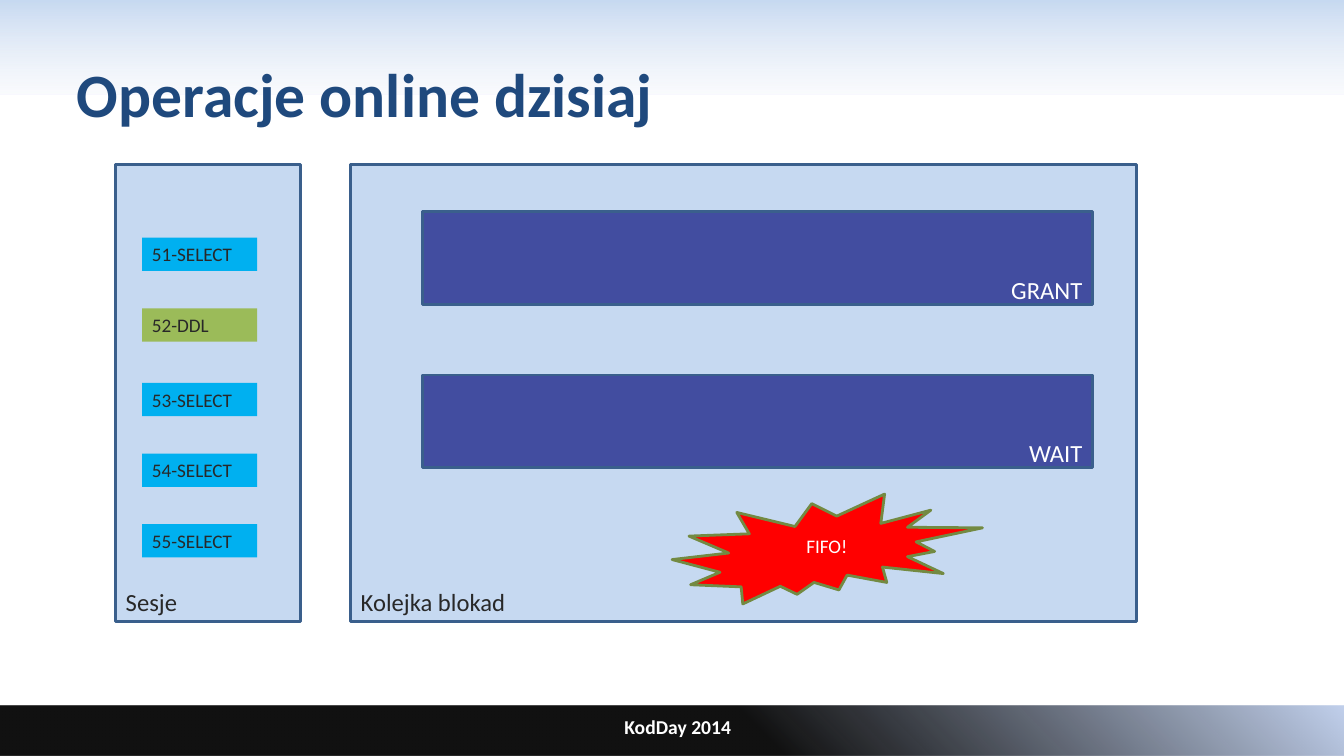
from lxml.etree import SubElement
from pptx import Presentation
from pptx.dml.color import RGBColor
from pptx.enum.shapes import MSO_SHAPE
from pptx.enum.text import MSO_ANCHOR, PP_ALIGN
from pptx.oxml.ns import qn
from pptx.util import Cm, Pt

THEME = {
    "font": "Calibri",
    "title": "1F497D", "dark": "282828", "light": "FFFFFF",
    "panel": "C6D9F1", "lane": "424DA0", "edge": "3A5F8C",
    "select": "00B0F0", "ddl": "9BBB59",
    "burst": "FF0000", "burst_edge": "738A42",
    "title_size": 44, "footer_size": 14, "label_size": 17.6, "small_size": 13.7,
    "edge_width": 2,
}

SLIDE_SIZE = (33.87, 19.05)
TITLE = ("Operacje online dzisiaj", (1.69, 0.76, 30.48, 3.18))
FOOTER = ("KodDay 2014", (9.6, 17.78, 14.96, 1.07))
BANDS = [
    ((0, 0, 33.87, 2.39), 90,
     [(0, "DCE6F2", 41), (0, "C6D9F1", 100), (100, "E1E8F5", 16)]),
    ((0, 17.78, 33.87, 1.27), 315,
     [(56, "000000", 93), (100, "C2D1ED", 100), (100, "E1E8F5", 16)]),
]
PANEL_TOP, PANEL_HEIGHT = 4.14, 11.53
PANELS = [("Kolejka blokad", 8.84, 19.81), ("Sesje", 2.92, 4.65)]
LANE_LEFT, LANE_WIDTH, LANE_HEIGHT = 10.64, 16.89, 2.34
LANES = [("WAIT", 9.45), ("GRANT", 5.33)]
SESSION_LEFT, SESSION_WIDTH, SESSION_HEIGHT = 3.58, 2.9, 0.84
SESSIONS = [
    ("51-SELECT", "select", 5.99),
    ("52-DDL", "ddl", 7.77),
    ("53-SELECT", "select", 9.65),
    ("54-SELECT", "select", 11.43),
    ("55-SELECT", "select", 13.21),
]
BURST = (16.94, 12.45, 7.82, 2.77)
BURST_LABEL = ("FIFO!", (18.72, 13.34, 4.24, 0.84))


def color(name):
    return RGBColor.from_string(THEME[name])


def write(shape, text, size="label_size", ink="dark", bold=False,
          align=PP_ALIGN.LEFT, anchor=MSO_ANCHOR.MIDDLE, bottom=0.13):
    frame = shape.text_frame
    frame.word_wrap = True
    frame.vertical_anchor = anchor
    frame.margin_bottom = Cm(bottom)
    paragraph = frame.paragraphs[0]
    paragraph.alignment = align
    run = paragraph.add_run()
    run.text = text
    run.font.name = THEME["font"]
    run.font.size = Pt(THEME[size])
    run.font.bold = bold
    run.font.color.rgb = color(ink)


def add_block(shapes, box, fill=None, edge=None, preset=MSO_SHAPE.RECTANGLE):
    block = shapes.add_shape(preset, *map(Cm, box))
    block.shadow.inherit = False
    if fill:
        block.fill.solid()
        block.fill.fore_color.rgb = color(fill)
    if edge:
        block.line.color.rgb = color(edge)
        block.line.width = Pt(THEME["edge_width"])
    else:
        block.line.fill.background()
    return block


def add_band(shapes, box, angle, stops):
    band = add_block(shapes, box)
    band.fill.gradient()
    gradient = band.element.spPr.find(qn("a:gradFill"))
    for child in list(gradient):
        gradient.remove(child)
    stop_list = SubElement(gradient, qn("a:gsLst"))
    for position, tint, alpha in stops:
        stop = SubElement(stop_list, qn("a:gs"), pos=str(position * 1000))
        shade = SubElement(stop, qn("a:srgbClr"), val=tint)
        SubElement(shade, qn("a:alpha"), val=str(alpha * 1000))
    SubElement(gradient, qn("a:lin"), ang=str(angle * 60000), scaled="0")


def add_label(shapes, content, **style):
    text, box = content
    write(shapes.add_textbox(*map(Cm, box)), text, **style)


def main():
    deck = Presentation()
    deck.slide_width, deck.slide_height = map(Cm, SLIDE_SIZE)
    shapes = deck.slides.add_slide(deck.slide_layouts[6]).shapes

    for box, angle, stops in BANDS:
        add_band(shapes, box, angle, stops)
    add_label(shapes, TITLE, size="title_size", ink="title", bold=True)
    add_label(shapes, FOOTER, size="footer_size", ink="light", bold=True,
              align=PP_ALIGN.CENTER)

    for text, left, width in PANELS:
        panel = add_block(shapes, (left, PANEL_TOP, width, PANEL_HEIGHT), "panel", "edge")
        write(panel, text, anchor=MSO_ANCHOR.BOTTOM)

    for text, top in LANES:
        lane = add_block(shapes, (LANE_LEFT, top, LANE_WIDTH, LANE_HEIGHT), "lane", "edge")
        write(lane, text, ink="light", align=PP_ALIGN.RIGHT,
              anchor=MSO_ANCHOR.BOTTOM, bottom=0)

    for text, fill, top in SESSIONS:
        session = add_block(shapes, (SESSION_LEFT, top, SESSION_WIDTH, SESSION_HEIGHT), fill)
        write(session, text, size="small_size", anchor=MSO_ANCHOR.TOP)

    callout = shapes.add_group_shape().shapes
    add_block(callout, BURST, "burst", "burst_edge", MSO_SHAPE.EXPLOSION2)
    add_label(callout, BURST_LABEL, size="small_size", ink="light",
              align=PP_ALIGN.CENTER, anchor=MSO_ANCHOR.TOP)

    deck.save("out.pptx")


if __name__ == "__main__":
    main()
